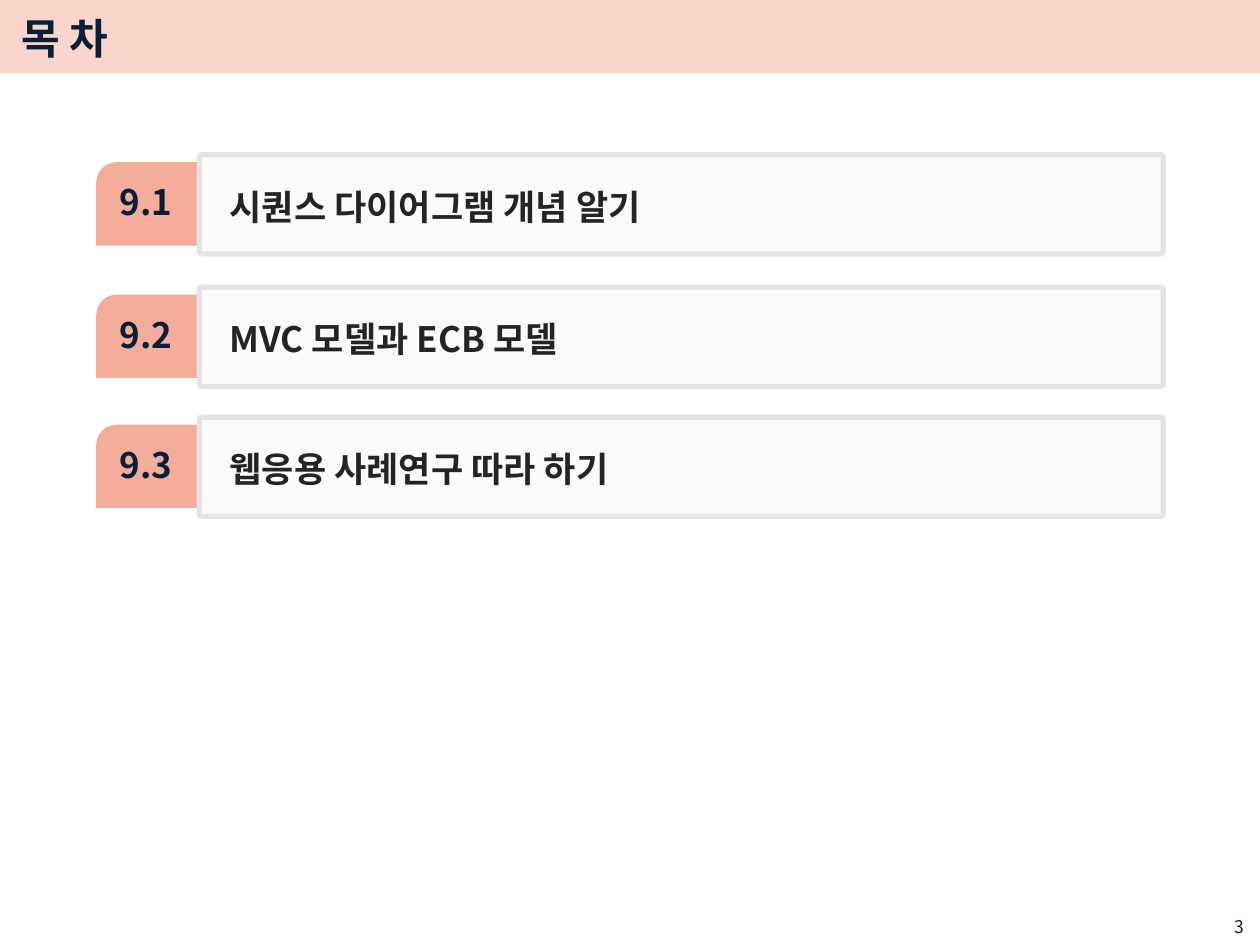
from lxml.etree import SubElement
from pptx import Presentation
from pptx.dml.color import RGBColor as Rgb
from pptx.enum.shapes import MSO_SHAPE as Kind
from pptx.enum.text import MSO_ANCHOR as Anchor, PP_ALIGN as Align
from pptx.oxml.ns import qn
from pptx.util import Cm, Pt

FONT = "Noto Sans CJK KR"
HUE = {"coral": "EE7759", "navy": "0A1E38", "ink": "242424",
       "panel": "F2F2F2", "edge": "E4E4E4"}


def write(shape, text, size=20, hue="navy", bold=True, align=Align.LEFT,
          anchor=Anchor.MIDDLE, top=0.13, low=0.13, indent=0, space=None):
    frame = shape.text_frame
    frame.word_wrap = True
    frame.vertical_anchor = anchor
    frame.margin_left = frame.margin_right = Cm(0.25)
    frame.margin_top, frame.margin_bottom = Cm(top), Cm(low)
    para = frame.paragraphs[0]
    para.alignment = align
    para.line_spacing = space
    para._p.get_or_add_pPr().set("marL", str(Cm(indent)))
    run = para.add_run()
    run.text = text
    font = run.font
    font.name, font.size, font.bold = FONT, Pt(size), bold
    font.color.rgb = Rgb.from_string(HUE[hue])
    SubElement(run._r.get_or_add_rPr(), qn("a:ea"), typeface=FONT)


def draw(kind, left, top, width, height, hue, alpha, adjust=()):
    shape = slide.shapes.add_shape(kind, Cm(left), Cm(top), Cm(width), Cm(height))
    shape.shadow.inherit = False
    shape.fill.solid()
    shape.fill.fore_color.rgb = Rgb.from_string(HUE[hue])
    color = shape._element.spPr.find(qn("a:solidFill"))[0]
    SubElement(color, qn("a:alpha"), val=str(alpha * 1000))
    shape.line.fill.background()
    for i, value in enumerate(adjust):
        shape.adjustments[i] = value
    return shape


deck = Presentation()
deck.slide_width, deck.slide_height = Cm(25.4), Cm(19.05)
slide = deck.slides.add_slide(deck.slide_layouts[6])

draw(Kind.RECTANGLE, 0, -0.05, 25.4, 1.53, "coral", 30)
title = slide.shapes.add_textbox(Cm(0.18), Cm(0.1), Cm(21.62), Cm(1.32))
write(title, "목 차", size=24)

topics = [
    ("9.1", "시퀀스 다이어그램 개념 알기", 3.12),
    ("9.2", "MVC 모델과 ECB 모델", 5.79),
    ("9.3", "웹응용 사례연구 따라 하기", 8.41),
]
for mark, topic, top in topics:
    tab = draw(Kind.SNIP_ROUND_RECTANGLE, 1.94, top + 0.15, 2.1, 1.68,
               "coral", 60, (0.245, 0))
    write(tab, mark, top=0, low=0.2, indent=0.1)
    bar = draw(Kind.ROUNDED_RECTANGLE, 4.02, top, 19.43, 2, "panel", 33, (0.023,))
    bar.line.color.rgb = Rgb.from_string(HUE["edge"])
    bar.line.width = Pt(3)
    write(bar, topic, hue="ink", indent=0.35, space=1.1)

page = slide.shapes.add_textbox(Cm(22.99), Cm(18.34), Cm(2.34), Cm(0.58))
write(page, "3", size=10, bold=False, align=Align.RIGHT, anchor=Anchor.TOP)

deck.save("out.pptx")
